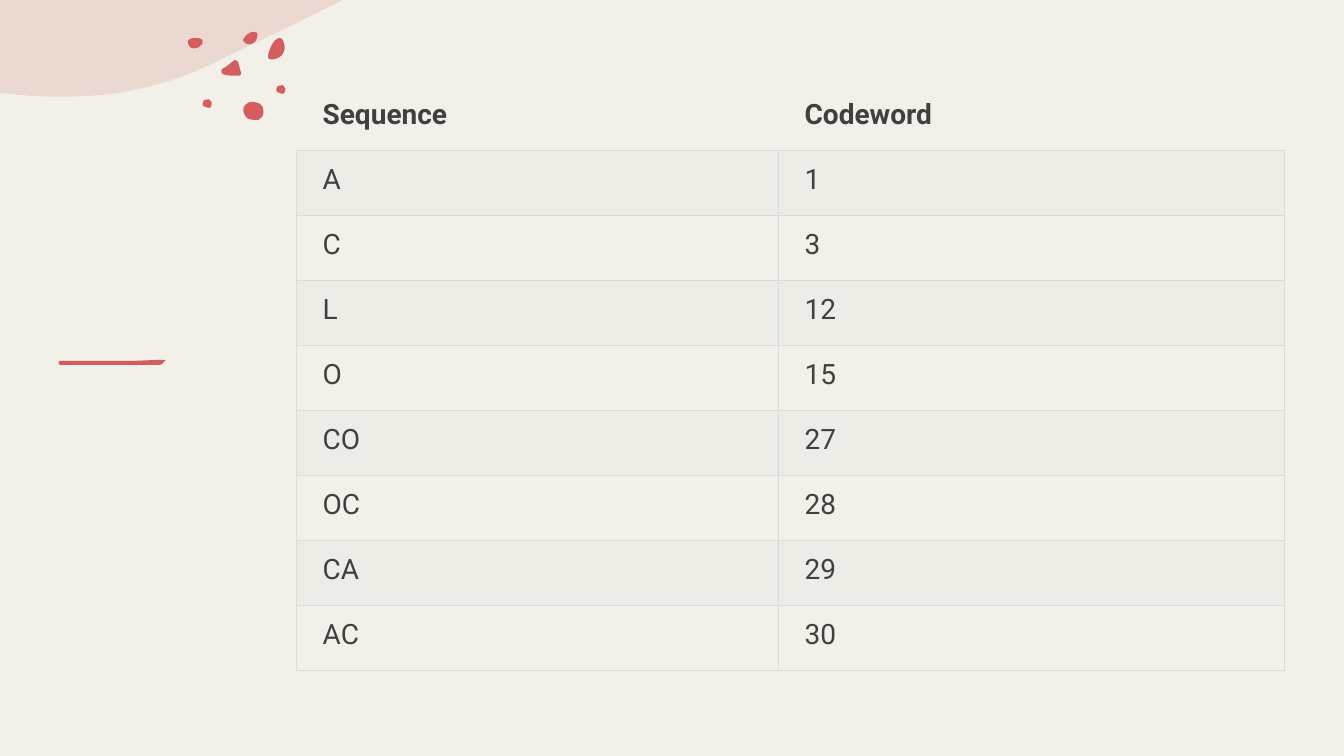
from lxml import etree
from pptx import Presentation, util as u
from pptx.dml import color
from pptx.enum import text
from pptx.oxml import ns

SEQUENCES = ["A", "C", "L", "O", "CO", "OC", "CA", "AC"]
CODEWORDS = [1, 3, 12, 15, 27, 28, 29, 30]

# Outlines in inches: two numbers are a straight point, six a Bezier curve
CORNER = [(0.58, 0.96), (0.41, 0.96, 0.25, 0.95, 0.08, 0.93), (0, 0.92), (0, -0.01),
          (3.42, -0.01), (3.4, 0), (2.97, 0.22, 2.52, 0.43, 2.11, 0.63),
          (1.82, 0.77, 1.53, 0.86, 1.24, 0.91), (1.02, 0.95, 0.8, 0.96, 0.58, 0.96)]
PEBBLE = [(0.09, 0.03), (0.09, 0.03, 0.09, 0.07, 0.07, 0.08),
          (0.05, 0.08, 0.04, 0.08, 0.03, 0.07), (0.01, 0.07, 0, 0.06, 0, 0.04),
          (0, 0.03, 0.01, 0.02, 0.01, 0.01), (0.01, 0.01, 0.02, 0, 0.03, 0),
          (0.05, 0, 0.06, -0.01, 0.07, 0), (0.08, 0.02, 0.09, 0.02, 0.09, 0.03)]
SPOTS = [
    [(2.48, 0.44), (2.47, 0.44, 2.45, 0.44, 2.44, 0.43), (2.42, 0.42, 2.4, 0.4, 2.42, 0.38),
     (2.43, 0.35, 2.5, 0.3, 2.53, 0.32), (2.55, 0.32, 2.56, 0.34, 2.55, 0.36),
     (2.55, 0.38, 2.54, 0.41, 2.52, 0.42), (2.51, 0.43, 2.49, 0.44, 2.48, 0.44)],
    [(2.7, 0.59), (2.68, 0.59, 2.67, 0.59, 2.66, 0.57), (2.66, 0.57, 2.66, 0.56, 2.66, 0.55),
     (2.67, 0.5, 2.69, 0.45, 2.72, 0.41), (2.74, 0.39, 2.77, 0.36, 2.8, 0.39),
     (2.82, 0.42, 2.83, 0.47, 2.82, 0.5), (2.81, 0.53, 2.8, 0.55, 2.78, 0.56),
     (2.77, 0.57, 2.73, 0.59, 2.7, 0.59)],
    [(1.93, 0.48), (1.9, 0.48, 1.88, 0.47, 1.87, 0.44), (1.86, 0.42, 1.86, 0.4, 1.88, 0.39),
     (1.91, 0.37, 1.99, 0.37, 2.01, 0.4), (2.01, 0.42, 2.01, 0.44, 1.99, 0.45),
     (1.98, 0.47, 1.95, 0.48, 1.93, 0.48)],
    [(2.61, 1.07), (2.61, 1.08, 2.62, 1.13, 2.6, 1.16), (2.57, 1.18, 2.58, 1.19, 2.55, 1.19),
     (2.52, 1.19, 2.47, 1.19, 2.45, 1.17), (2.43, 1.15, 2.4, 1.1, 2.42, 1.06),
     (2.44, 1.03, 2.46, 1.02, 2.49, 1.01), (2.52, 1.01, 2.57, 1.02, 2.59, 1.04),
     (2.6, 1.06, 2.61, 1.06, 2.61, 1.07)],
    [(2.33, 0.75), (2.27, 0.75, 2.17, 0.75, 2.2, 0.69), (2.21, 0.68, 2.22, 0.67, 2.23, 0.67),
     (2.26, 0.65, 2.28, 0.63, 2.31, 0.61), (2.32, 0.6, 2.33, 0.59, 2.34, 0.6),
     (2.35, 0.6, 2.35, 0.61, 2.36, 0.61), (2.37, 0.65, 2.38, 0.68, 2.39, 0.72),
     (2.39, 0.73, 2.39, 0.74, 2.38, 0.75), (2.33, 0.75)],
]
BRUSH = [(0.61, 3.62), (0.57, 3.62, 0.58, 3.59, 0.59, 3.58), (0.75, 3.58), (1.33, 3.58),
         (1.57, 3.57), (1.64, 3.57), (1.64, 3.58), (1.61, 3.59, 1.63, 3.62, 1.57, 3.62),
         (1.32, 3.62), (0.61, 3.62)]


def paint(fill, value, alpha=100):
    """Fill with a hex colour at the given opacity in percent."""
    fill.solid()
    fill.fore_color.rgb = color.RGBColor.from_string(value)
    if alpha < 100:
        clr = fill._xPr.find(".//" + ns.qn("a:srgbClr"))
        etree.SubElement(clr, ns.qn("a:alpha"), val=str(alpha * 1000))


def write(tf, content, *, size, font, ink, bold=False):
    p = tf.paragraphs[0]
    p.alignment = text.PP_ALIGN.LEFT
    r = p.add_run()
    r.text = content
    r.font.size, r.font.name, r.font.bold = u.Pt(size), font, bold
    r.font.color.rgb = color.RGBColor.from_string(ink)


def flatten(outline, steps=8):
    """Turn lines and Bezier curves into a list of points."""
    points = [outline[0]]
    for part in outline[1:]:
        if len(part) == 2:
            points.append(part)
            continue
        start, a, b, end = points[-1], part[:2], part[2:4], part[4:]
        for i in range(1, steps + 1):
            t = i / steps
            points.append(tuple(
                (1 - t) ** 3 * start[k] + 3 * (1 - t) ** 2 * t * a[k]
                + 3 * (1 - t) * t ** 2 * b[k] + t ** 3 * end[k] for k in (0, 1)))
    return points


class Deck:
    paper, ink, blush, coral = "F3F0E9", "404040", "E5C4BA", "D45E5E"
    rule, band, font, size = "D8DCDC", "D8DEDC", "Roboto", 20

    def __init__(self, prs):
        self.s = prs.slides.add_slide(prs.slide_layouts[6])
        paint(self.s.background.fill, self.paper)

    def group(self):
        return self.s.shapes.add_group_shape().shapes

    def freeform(self, outline, fill, alpha=100, dx=0, dy=0, shapes=None):
        pts = [(u.Inches(x + dx), u.Inches(y + dy)) for x, y in flatten(outline)]
        builder = (shapes or self.s.shapes).build_freeform(*pts[0])
        builder.add_line_segments(pts[1:], close=True)
        sp = builder.convert_to_shape()
        sp.shadow.inherit = False
        sp.line.fill.background()
        paint(sp.fill, fill, alpha)

    def borders(self, cell, sides):
        tc_pr = cell._tc.get_or_add_tcPr()
        for i, side in enumerate("LRTB"):
            ln = etree.Element(ns.qn("a:ln" + side), w=str(u.Pt(0.75)))
            if side in sides:
                fill = etree.SubElement(ln, ns.qn("a:solidFill"))
                etree.SubElement(fill, ns.qn("a:srgbClr"), val=self.rule)
            else:
                etree.SubElement(ln, ns.qn("a:noFill"))
            tc_pr.insert(i, ln)

    def table(self, rows, left, top, widths, height):
        frame = self.s.shapes.add_table(len(rows), len(widths), u.Inches(left), u.Inches(top),
                                        u.Inches(sum(widths)), u.Inches(height))
        tbl = frame.table
        tbl.horz_banding = False
        # "No Style, No Grid"
        tbl._tbl.tblPr.find(ns.qn("a:tableStyleId")).text = "{2D5ABB26-0587-4C30-8999-92F81FD0307C}"
        for col, width in zip(tbl.columns, widths):
            col.width = u.Inches(width)
        for i, row in enumerate(rows):
            for j, content in enumerate(row):
                cell = tbl.cell(i, j)
                cell.margin_left = u.Inches(0.26)
                cell.margin_top = cell.margin_right = cell.margin_bottom = u.Inches(0.13)
                cell.vertical_anchor = text.MSO_ANCHOR.TOP
                write(cell.text_frame, str(content), size=self.size, font=self.font,
                      ink=self.ink, bold=i == 0)
                if i % 2:
                    paint(cell.fill, self.band, 20)
                else:
                    cell.fill.background()
                self.borders(cell, "LRTB" if i else "B")


def main():
    prs = Presentation()
    prs.slide_width, prs.slide_height = u.Inches(13.33), u.Inches(7.5)
    deck = Deck(prs)

    # Corner wave and spots
    deck.freeform(CORNER, deck.blush, alpha=50)
    spots = deck.group()
    for outline in SPOTS:
        deck.freeform(outline, deck.coral, shapes=spots)
    for dx, dy in [(2.01, 0.99), (2.74, 0.85)]:
        deck.freeform(PEBBLE, deck.coral, dx=dx, dy=dy, shapes=spots)

    # Brush stroke
    deck.freeform(BRUSH, deck.coral)

    # Code table
    rows = [("Sequence", "Codeword"), *zip(SEQUENCES, CODEWORDS)]
    deck.table(rows, 2.94, 0.85, [4.78, 5.02], 5.8)

    prs.save("out.pptx")


if __name__ == "__main__":
    main()
